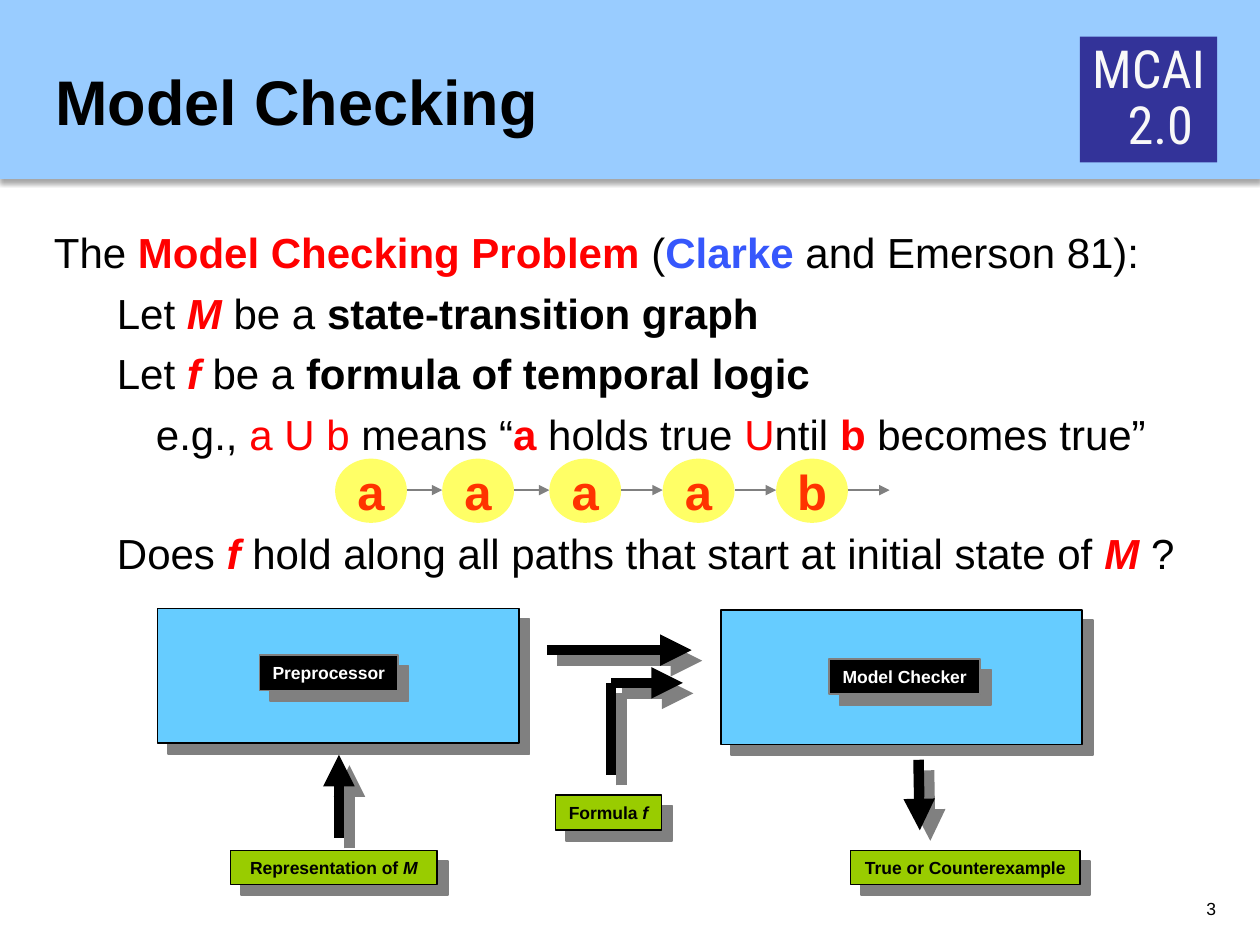
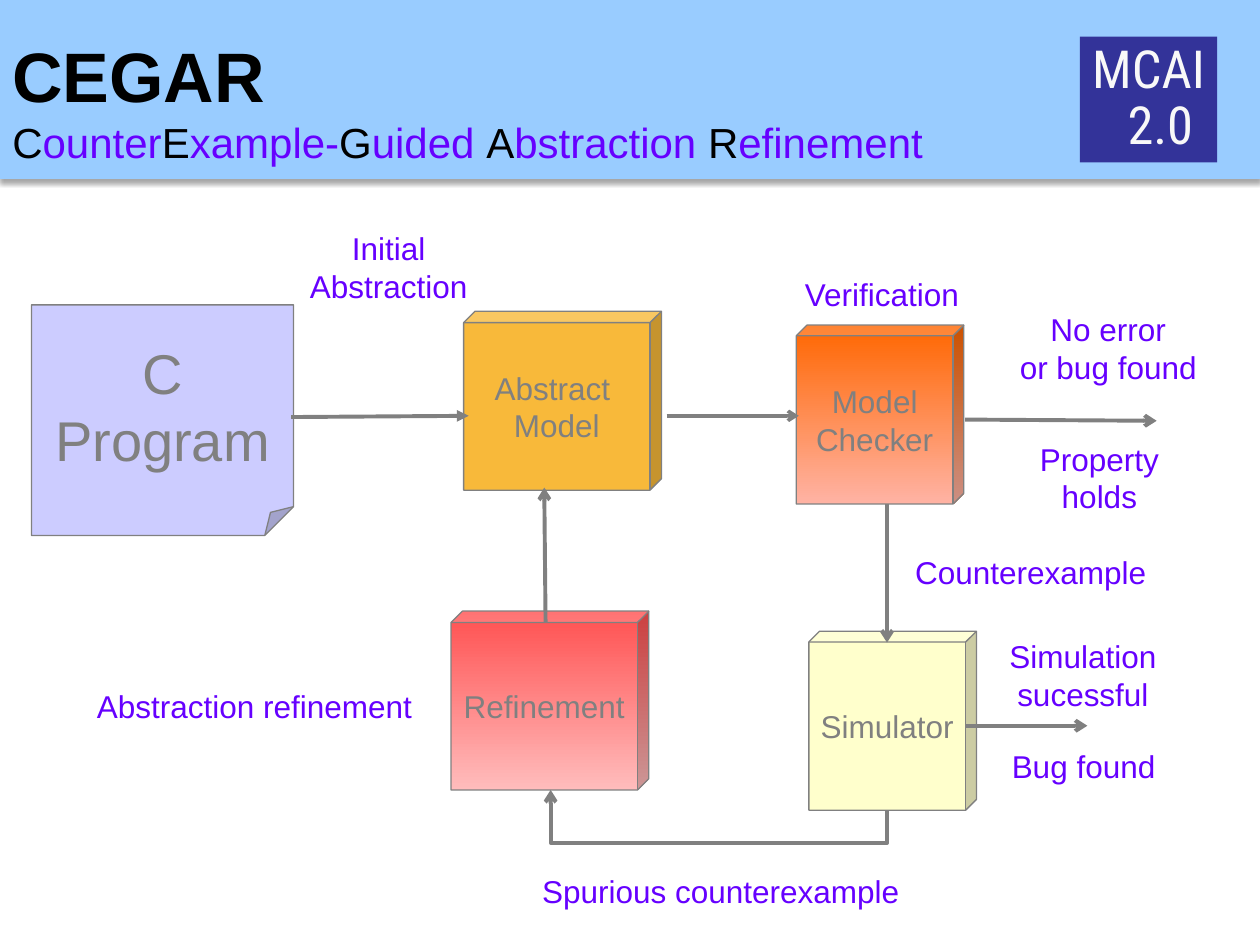
"""Build two slides on model checking and abstraction refinement."""
from dataclasses import dataclass

from lxml import etree
from pptx import Presentation
from pptx.dml.color import RGBColor
from pptx.enum.shapes import MSO_CONNECTOR as LINK, MSO_SHAPE as SHAPE
from pptx.enum.text import MSO_ANCHOR as ANCHOR, PP_ALIGN as ALIGN
from pptx.oxml.ns import qn
from pptx.util import Inches, Pt


@dataclass(frozen=True)
class Theme:
    font: str = "Arial"
    badge_font: str = "Roboto Condensed"
    black: str = "000000"
    white: str = "FFFFFF"
    gray: str = "808080"
    red: str = "FF0000"
    blue: str = "3657FC"
    violet: str = "6600FF"
    band: str = "99CCFF"
    badge: str = "333399"
    badge_text: str = "F8F8F8"
    stage: str = "66CCFF"
    artifact: str = "99CC00"
    state: str = "FFFF66"
    state_text: str = "FF3300"
    note: str = "CCCCFF"
    amber: str = "F8B93A"
    cream: str = "FFFFCC"
    orange_fade: tuple = ("FF6600", "FFB3A4")
    red_fade: tuple = ("FF5050", "FFBCBC")
    title_size: float = 36
    acronym_size: float = 40
    body_size: float = 24
    badge_size: float = 30
    state_size: float = 28
    note_size: float = 32
    label_size: float = 18
    small_size: float = 10


THEME = Theme()


@dataclass(frozen=True)
class Span:
    text: str
    color: str = THEME.black
    size: float = THEME.body_size
    bold: bool = False
    italic: bool = False
    font: str = THEME.font


@dataclass(frozen=True)
class Shadow:
    color: str
    opacity: int
    blur: float
    distance: float
    angle: int


BLOCK_SHADOW = Shadow(THEME.gray, 100, 0, 8.5, 45)
BAND_SHADOW = Shadow(THEME.black, 35, 3.1, 1.8, 90)


def rgb(color):
    return RGBColor.from_string(color)


def inches(*lengths):
    return [Inches(length) for length in lengths]


def add_spans(para, spans):
    for span in spans:
        if span.text == "\n":
            para.add_line_break()
            continue
        run = para.add_run()
        run.text = span.text
        font = run.font
        font.name, font.size = span.font, Pt(span.size)
        font.bold, font.italic = span.bold, span.italic
        font.color.rgb = rgb(span.color)


def fill_text(shape, lines, align=ALIGN.LEFT, anchor=ANCHOR.TOP, wrap=True):
    frame = shape.text_frame
    frame.word_wrap = wrap
    frame.vertical_anchor = anchor
    for index, spans in enumerate(lines):
        para = frame.add_paragraph() if index else frame.paragraphs[0]
        para.alignment = align
        add_spans(para, spans)
    return frame.paragraphs


def indent(para, left, first=0):
    properties = para._p.get_or_add_pPr()
    properties.set("marL", str(Inches(left)))
    properties.set("indent", str(Inches(first)))


def set_guide(shape, name, ratio):
    geometry = shape._element.spPr.find(qn("a:prstGeom"))
    guides = geometry.find(qn("a:avLst"))
    if guides is None:
        guides = etree.SubElement(geometry, qn("a:avLst"))
    for guide in list(guides):
        guides.remove(guide)
    etree.SubElement(guides, qn("a:gd"), name=name, fmla=f"val {round(ratio * 100000)}")


def set_shadow(shape, shadow=None):
    properties = shape._element.spPr
    effects = properties.find(qn("a:effectLst"))
    if effects is None:
        effects = etree.SubElement(properties, qn("a:effectLst"))
    if shadow:
        outer = etree.SubElement(
            effects, qn("a:outerShdw"), blurRad=str(Pt(shadow.blur)),
            dist=str(Pt(shadow.distance)), dir=str(shadow.angle * 60000),
            algn="ctr", rotWithShape="0")
        color = etree.SubElement(outer, qn("a:srgbClr"), val=shadow.color)
        etree.SubElement(color, qn("a:alpha"), val=str(shadow.opacity * 1000))


def add_block(page, kind, at, fill, line=None, weight=1, shadow=None):
    block = page.shapes.add_shape(kind, *inches(*at))
    block.shadow.inherit = False
    if isinstance(fill, tuple):
        block.fill.gradient()
        block.fill.gradient_angle = 270
        for stop, color in zip(block.fill.gradient_stops, fill):
            stop.color.rgb = rgb(color)
    else:
        block.fill.solid()
        block.fill.fore_color.rgb = rgb(fill)
    if line:
        block.line.color.rgb = rgb(line)
        block.line.width = Pt(weight)
    else:
        block.line.fill.background()
    set_shadow(block, shadow)
    return block


def add_text(page, at, lines, **layout):
    box = page.shapes.add_textbox(*inches(*at))
    return fill_text(box, lines, **layout)


def style_line(link, color, weight, tip, shadow=None):
    link.line.color.rgb = rgb(color)
    link.line.width = Pt(weight)
    if tip:
        etree.SubElement(link.line._get_or_add_ln(), qn("a:tailEnd"), type=tip)
    set_shadow(link, shadow)


def add_arrow(page, ends, color=THEME.gray, weight=2.25, tip="arrow", shadow=None):
    link = page.shapes.add_connector(LINK.STRAIGHT, *inches(*ends))
    style_line(link, color, weight, tip, shadow)


def add_return_arrow(page, start, end, bottom):
    """Draw an elbow that leaves downward, runs left and comes back up."""
    (start_x, start_y), (end_x, end_y) = start, end
    rise, run = start_y - end_y, start_x - end_x
    middle_x, middle_y = (start_x + end_x) / 2, (start_y + end_y) / 2
    link = page.shapes.add_connector(LINK.ELBOW, *inches(
        middle_x - rise / 2, middle_y + run / 2,
        middle_x + rise / 2, middle_y - run / 2))
    link.rotation = 270
    set_guide(link, "adj1", (start_y - bottom) / rise)
    style_line(link, THEME.gray, 2.25, "arrow")


def add_page(deck, title, title_at):
    page = deck.slides.add_slide(deck.slide_layouts[6])
    add_block(page, SHAPE.RECTANGLE, (0, 0, 10, 1.42), THEME.band, shadow=BAND_SHADOW)
    badge = add_block(page, SHAPE.RECTANGLE, (8.57, 0.29, 1.09, 1), THEME.badge)
    lines = [[Span(text, THEME.badge_text, THEME.badge_size, font=THEME.badge_font)]
             for text in ("MCAI", "2.0")]
    paras = fill_text(badge, lines, anchor=ANCHOR.MIDDLE, wrap=False)
    for para in paras:
        para.line_spacing = 0.9
    indent(paras[1], 0.28)
    add_text(page, title_at, [title], anchor=ANCHOR.MIDDLE)
    return page


def add_problem(page):
    def strong(text):
        return Span(text, bold=True)

    def red(text, bold=True, italic=False):
        return Span(text, THEME.red, bold=bold, italic=italic)

    def symbol(text):
        return red(text, italic=True)

    paras = add_text(page, (0.33, 1.75, 9.17, 5.17), [
        [Span("The "), red("Model Checking Problem"), Span(" ("),
         Span("Clarke", THEME.blue, bold=True), Span(" and Emerson 81):")],
        [Span("Let "), symbol("M"), Span(" be a "), strong("state-transition graph")],
        [Span("Let "), symbol("f "), Span("be a "), strong("formula of temporal logic")],
        [Span("e.g., "), red("a U b", bold=False), Span(" means “"), red("a"),
         Span(" holds true "), red("U", bold=False), Span("ntil "), red("b"),
         Span(" becomes true”")],
        [Span("Does "), symbol("f "),
         Span("hold along all paths that start at initial state of "),
         symbol("M "), Span("?")],
    ])
    indent(paras[0], 0.38, -0.38)
    for para in paras[1:]:
        indent(para, 0.81, -0.31)
        para.space_before = Pt(5.8)
    indent(paras[3], 0.81)
    paras[4].space_before = Pt(39.2)


def add_tag(page, at, spans, fill, line):
    tag = add_block(page, SHAPE.RECTANGLE, at, fill, line, shadow=BLOCK_SHADOW)
    fill_text(tag, [spans], ALIGN.CENTER, ANCHOR.MIDDLE, wrap=False)


def add_checker_flow(page):
    def small(text, color=THEME.black, italic=False):
        return Span(text, color, THEME.small_size, True, italic)

    for left, top in ((1.25, 4.83), (5.72, 4.84)):
        add_block(page, SHAPE.RECTANGLE, (left, top, 2.87, 1.07), THEME.stage,
                  THEME.black, shadow=BLOCK_SHADOW)
    for at, name in (((2.06, 5.2, 1.1, 0.28), "Preprocessor"),
                     ((6.58, 5.23, 1.2, 0.28), "Model Checker")):
        add_tag(page, at, [small(name, THEME.white)], THEME.black, THEME.gray)
    for ends, tip in (((2.69, 6.65, 2.69, 5.99), "triangle"),
                      ((4.85, 6.15, 4.85, 5.42), None),
                      ((4.85, 5.42, 5.42, 5.42), "triangle"),
                      ((7.29, 6.03, 7.3, 6.59), "triangle"),
                      ((4.34, 5.16, 5.49, 5.16), "triangle")):
        add_arrow(page, ends, THEME.black, 6, tip, BLOCK_SHADOW)
    for at, spans in (
            ((1.83, 6.75, 1.64, 0.27), [small("Representation of "), small("M", italic=True)]),
            ((4.41, 6.31, 0.84, 0.28), [small("Formula "), small("f", italic=True)]),
            ((6.75, 6.75, 1.82, 0.27), [small("True or Counterexample")])):
        add_tag(page, at, spans, THEME.artifact, THEME.black)


def add_state_path(page):
    lefts, width = (2.66, 3.51, 4.36, 5.26, 6.16), 0.57
    for left, name, target in zip(lefts, "aaaab", lefts[1:] + (7.06,)):
        state = add_block(page, SHAPE.OVAL, (left, 3.64, width, 0.51), THEME.state)
        span = Span(name, THEME.state_text, THEME.state_size, bold=True)
        fill_text(state, [[span]], ALIGN.CENTER, ANCHOR.MIDDLE, wrap=False)
        add_arrow(page, (left + width, 3.89, target, 3.89), weight=0.75, tip="triangle")


def add_node(page, kind, at, fill, text, fold=0.064, size=THEME.label_size):
    node = add_block(page, kind, at, fill, THEME.gray, 0.75)
    set_guide(node, "adj", fold)
    lines = [[Span(line, THEME.gray, size)] for line in text.split("\n")]
    fill_text(node, lines, ALIGN.CENTER, ANCHOR.MIDDLE, wrap=False)


def add_label(page, at, text):
    lines = [[Span(line, THEME.violet, THEME.label_size)] for line in text.split("\n")]
    add_text(page, at, lines, align=ALIGN.CENTER, wrap=False)


def add_refinement_loop(page):
    add_node(page, SHAPE.FOLDED_CORNER, (0.25, 2.42, 2.08, 1.83), THEME.note,
             "C\nProgram", 0.125, THEME.note_size)
    for at, fill, text in (
            ((6.42, 5.01, 1.33, 1.42), THEME.cream, "Simulator"),
            ((3.58, 4.85, 1.57, 1.42), THEME.red_fade, "Refinement"),
            ((6.32, 2.58, 1.33, 1.42), THEME.orange_fade, "Model\nChecker"),
            ((3.68, 2.47, 1.57, 1.42), THEME.amber, "Abstract \nModel")):
        add_node(page, SHAPE.CUBE, at, fill, text)
    for at, text in (
            ((2.36, 1.77, 1.45, 0.7), "Initial\nAbstraction"),
            ((7.99, 2.41, 1.61, 0.7), "No error\nor bug found"),
            ((8.15, 3.44, 1.15, 0.7), "Property\nholds"),
            ((7.91, 5.01, 1.37, 0.7), "Simulation\nsucessful"),
            ((7.93, 5.88, 1.34, 0.4), "Bug found"),
            ((0.67, 5.4, 2.7, 0.4), "Abstraction refinement"),
            ((6.28, 2.13, 1.44, 0.4), "Verification"),
            ((4.2, 6.87, 3.04, 0.4), "Spurious counterexample"),
            ((7.16, 4.34, 2.04, 0.4), "Counterexample")):
        add_label(page, at, text)
    for ends in ((7.66, 3.33, 9.18, 3.34), (7.66, 5.76, 8.63, 5.76),
                 (4.33, 4.94, 4.32, 3.87), (7.04, 4, 7.04, 5.1)):
        add_arrow(page, ends)
    add_arrow(page, (5.29, 3.3, 6.34, 3.3), weight=2)
    add_arrow(page, (2.31, 3.31, 3.72, 3.3), tip="triangle")
    add_return_arrow(page, (7.04, 6.44), (4.37, 6.27), 6.69)


def main():
    deck = Presentation()
    deck.slide_width, deck.slide_height = inches(10, 7.5)
    title = [Span("Model Checking", size=THEME.title_size, bold=True)]
    page = add_page(deck, title, (0.34, 0.17, 8.17, 1.25))
    add_problem(page)
    add_checker_flow(page)
    add_text(page, (7.42, 7.08, 2.33, 0.33), [[Span("3", size=THEME.small_size)]],
             align=ALIGN.RIGHT)
    add_state_path(page)
    title = [Span("CEGAR", size=THEME.acronym_size, bold=True), Span("\n")]
    for initial, rest in (("C", "ounter"), ("E", "xample-"), ("G", "uided "),
                          ("A", "bstraction "), ("R", "efinement")):
        title += [Span(initial), Span(rest, THEME.violet)]
    add_refinement_loop(add_page(deck, title, (0, 0.17, 10, 1.25)))
    deck.save("out.pptx")


if __name__ == "__main__":
    main()
